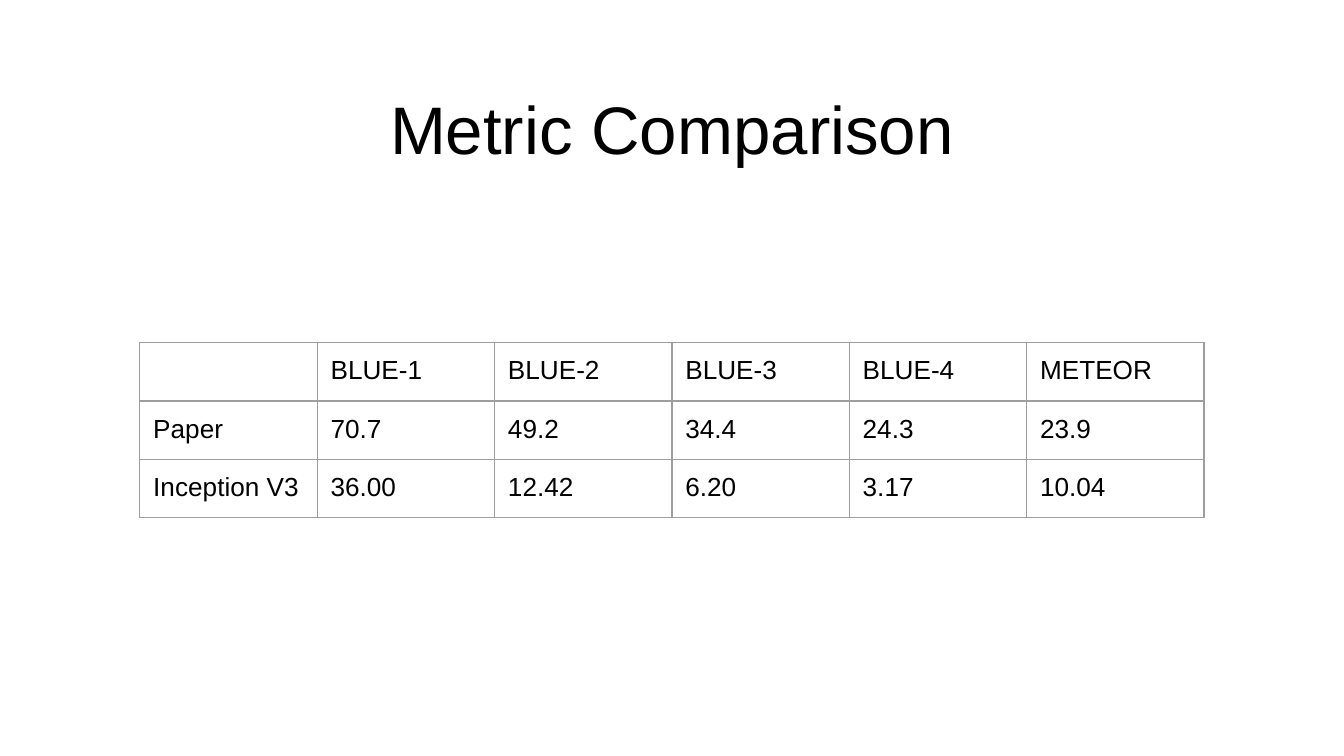
from lxml.etree import SubElement
from pptx import Presentation
from pptx.dml.color import RGBColor
from pptx.enum.text import MSO_ANCHOR, PP_ALIGN
from pptx.oxml.ns import qn
from pptx.util import Inches, Pt

BLACK = "000000"
GRID_GRAY = "9E9E9E"
MARGIN = Inches(0.1)


def style_text(paragraph, size):
    paragraph.font.name = "Arial"
    paragraph.font.size = Pt(size)
    paragraph.font.color.rgb = RGBColor.from_string(BLACK)
    # The end mark sets the line height of an empty paragraph
    SubElement(paragraph._p, qn("a:endParaRPr"), sz=str(size * 100))


def add_borders(cell, color, width):
    properties = cell._tc.get_or_add_tcPr()
    for side in ("lnL", "lnR", "lnT", "lnB"):
        line = SubElement(properties, qn(f"a:{side}"), w=str(Pt(width)))
        fill = SubElement(line, qn("a:solidFill"))
        SubElement(fill, qn("a:srgbClr"), val=color)


# Widescreen slide, 16:9
presentation = Presentation()
presentation.slide_width = Inches(10)
presentation.slide_height = Inches(10) * 9 // 16
slide = presentation.slides.add_slide(presentation.slide_layouts[6])

# Title
title = slide.shapes.add_textbox(Inches(0.34), Inches(0.49), Inches(9.32), Inches(0.92))
frame = title.text_frame
frame.word_wrap = True
frame.vertical_anchor = MSO_ANCHOR.MIDDLE
frame.margin_left = frame.margin_right = frame.margin_top = frame.margin_bottom = MARGIN
paragraph = frame.paragraphs[0]
paragraph.text = "Metric Comparison"
paragraph.alignment = PP_ALIGN.CENTER
style_text(paragraph, 36)

# Metric table
metrics = [
    ["", "BLUE-1", "BLUE-2", "BLUE-3", "BLUE-4", "METEOR"],
    ["Paper", "70.7", "49.2", "34.4", "24.3", "23.9"],
    ["Inception V3", "36.00", "12.42", "6.20", "3.17", "10.04"],
]
table = slide.shapes.add_table(
    len(metrics), len(metrics[0]),
    Inches(1.04), Inches(2.55), Inches(7.92), Inches(1.25),
).table
table.first_row = table.horz_banding = False

for row, values in zip(table.rows, metrics):
    for cell, value in zip(row.cells, values):
        cell.margin_left = cell.margin_right = MARGIN
        cell.margin_top = cell.margin_bottom = MARGIN
        add_borders(cell, GRID_GRAY, 0.75)
        cell.fill.background()
        paragraph = cell.text_frame.paragraphs[0]
        paragraph.text = value
        style_text(paragraph, 14)

presentation.save("out.pptx")
